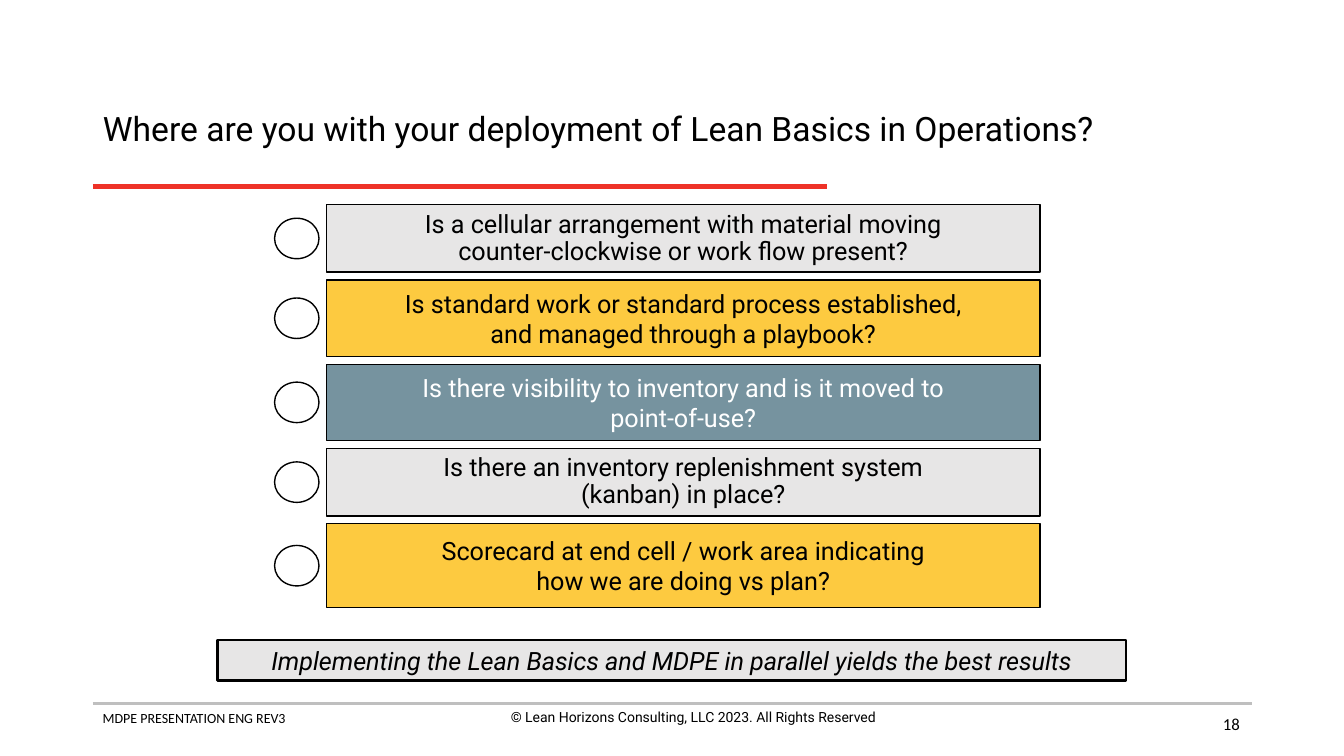
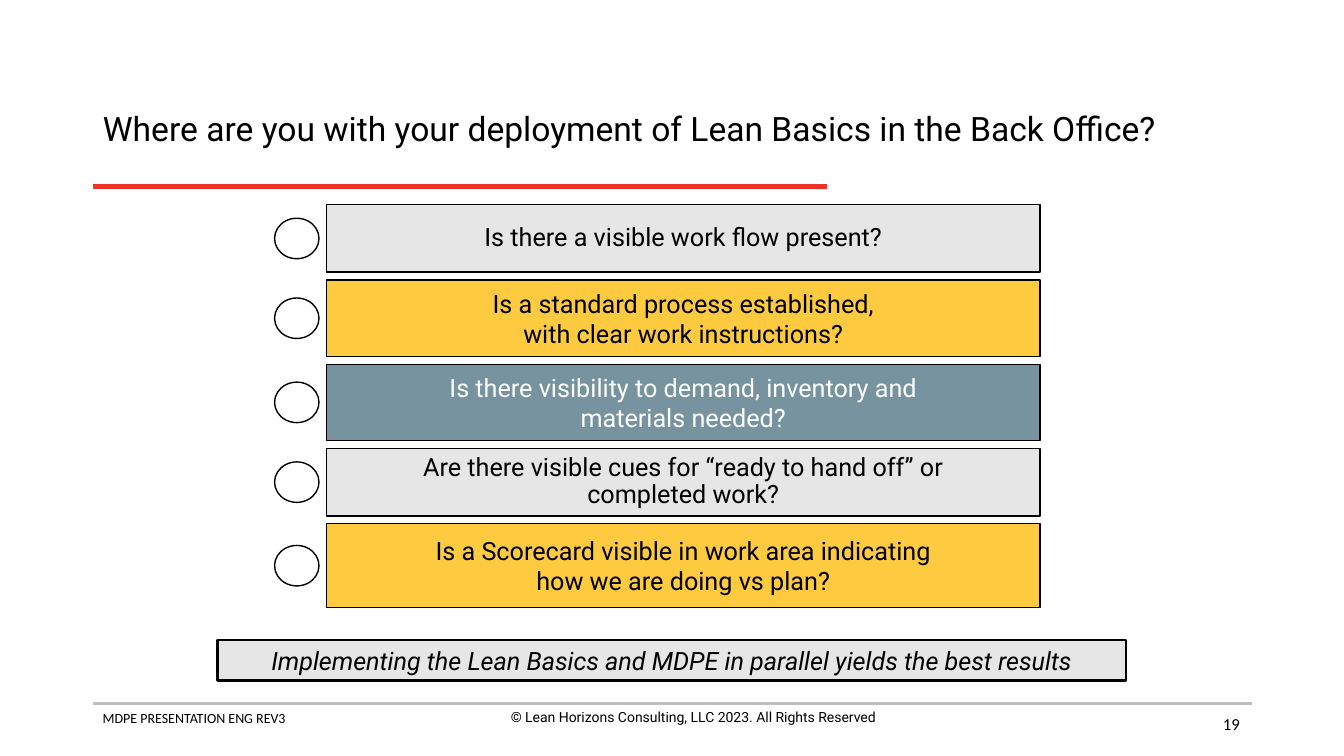
from lxml.etree import SubElement
from pptx import Presentation
from pptx.dml.color import RGBColor
from pptx.enum.shapes import MSO_CONNECTOR, MSO_SHAPE
from pptx.enum.text import MSO_ANCHOR, MSO_AUTO_SIZE, PP_ALIGN
from pptx.oxml.ns import qn
from pptx.util import Cm, Pt

# Shared style
BLACK, WHITE = "000000", "FFFFFF"
GREY, YELLOW, SLATE = "E7E6E6", "FDCA40", "76939F"
RED, RULE_GREY = "EE3228", "BFBFBF"
MARGIN, RIGHT = 2.34, 31.55
TITLE_FONT, FOOTER_FONT = "Roboto", "Calibri"

# Question rows: height, fill, text colour, line spacing
ROWS = [
    (1.70, GREY, BLACK, 0.9),
    (1.92, YELLOW, BLACK, 1.0),
    (1.92, SLATE, WHITE, 1.0),
    (1.70, GREY, BLACK, 0.9),
    (2.11, YELLOW, BLACK, 1.0),
]
ROWS_TOP, ROW_GAP = 5.16, 0.2
ROW_LEFT, ROW_WIDTH = 8.23, 17.98
CIRCLE_LEFT, CIRCLE_WIDTH, CIRCLE_HEIGHT = 6.92, 1.12, 1.02

CONCLUSION = "Implementing the Lean Basics and MDPE in parallel yields the best results"

# Slide number, title, questions (\v is a line break)
SLIDES = [
    (18, "Where are you with your deployment of Lean Basics in Operations?", [
        "Is a cellular arrangement with material moving\vcounter-clockwise or work flow present?",
        "Is standard work or standard process established,\vand managed through a playbook?",
        "Is there visibility to inventory and is it moved to\vpoint-of-use?",
        "Is there an inventory replenishment system\v(kanban) in place?",
        "Scorecard at end cell / work area indicating\vhow we are doing vs plan?",
    ]),
    (19, "Where are you with your deployment of Lean Basics in the Back Office?", [
        "Is there a visible work flow present?",
        "Is a standard process established,\vwith clear work instructions?",
        "Is there visibility to demand, inventory and\vmaterials needed?",
        "Are there visible cues for “ready to hand off” or\vcompleted work?",
        "Is a Scorecard visible in work area indicating\vhow we are doing vs plan?",
    ]),
]


def write(sp, text, size, color=BLACK, font=TITLE_FONT, align=PP_ALIGN.CENTER,
          anchor=MSO_ANCHOR.MIDDLE, spacing=1.0):
    tf = sp.text_frame
    tf.word_wrap = True
    tf.auto_size = MSO_AUTO_SIZE.NONE
    tf.vertical_anchor = anchor
    p = tf.paragraphs[0]
    p.text = text
    p.alignment = align
    p.line_spacing = spacing
    p.font.size = Pt(size)
    p.font.name = font
    p.font.color.rgb = RGBColor.from_string(color)
    return p


def add_outlined(s, kind, left, top, width, height, fill, weight=1):
    sp = s.shapes.add_shape(kind, Cm(left), Cm(top), Cm(width), Cm(height))
    sp.shadow.inherit = False
    sp.fill.solid()
    sp.fill.fore_color.rgb = RGBColor.from_string(fill)
    sp.line.color.rgb = RGBColor.from_string(BLACK)
    sp.line.width = Pt(weight)
    return sp


prs = Presentation()
prs.slide_width, prs.slide_height = Cm(33.87), Cm(19.05)

for number, title, questions in SLIDES:
    s = prs.slides.add_slide(prs.slide_layouts[5])

    # Title
    sp = s.shapes.title
    sp.left, sp.top, sp.width, sp.height = Cm(MARGIN), Cm(1.88), Cm(29.21), Cm(2.8)
    write(sp, title, 24, align=PP_ALIGN.LEFT, spacing=0.9)

    # Rules under the title and above the footer
    for y, end, color, weight in [(4.7, 20.83, RED, 3), (17.73, RIGHT, RULE_GREY, 2)]:
        rule = s.shapes.add_connector(MSO_CONNECTOR.STRAIGHT, Cm(MARGIN), Cm(y), Cm(end), Cm(y))
        rule.line.color.rgb = RGBColor.from_string(color)
        rule.line.width = Pt(weight)
        SubElement(rule._element.spPr, qn("a:effectLst"))

    # Footer
    for text, left, top, width, size, font, align, anchor in [
        ("MDPE PRESENTATION ENG REV3", MARGIN, 17.75, 11.58, 10,
         FOOTER_FONT, PP_ALIGN.LEFT, MSO_ANCHOR.TOP),
        ("© Lean Horizons Consulting, LLC 2023. All Rights Reserved", 11.68, 17.73, 11.58, 10,
         TITLE_FONT, PP_ALIGN.CENTER, MSO_ANCHOR.TOP),
        (str(number), 23.88, 17.73, 7.62, 12,
         FOOTER_FONT, PP_ALIGN.RIGHT, MSO_ANCHOR.MIDDLE),
    ]:
        sp = s.shapes.add_textbox(Cm(left), Cm(top), Cm(width), Cm(1))
        write(sp, text, size, font=font, align=align, anchor=anchor)

    # Questions, each with a circle to mark
    top = ROWS_TOP
    for question, (height, fill, color, spacing) in zip(questions, ROWS):
        sp = add_outlined(s, MSO_SHAPE.RECTANGLE, ROW_LEFT, top, ROW_WIDTH, height, fill)
        write(sp, question, 18, color, spacing=spacing)
        add_outlined(s, MSO_SHAPE.OVAL, CIRCLE_LEFT, top + (height - CIRCLE_HEIGHT) / 2,
                     CIRCLE_WIDTH, CIRCLE_HEIGHT, WHITE)
        top += height + ROW_GAP

    # Conclusion
    sp = add_outlined(s, MSO_SHAPE.RECTANGLE, 5.49, 16.13, 22.89, 1.02, GREY, 2)
    p = write(sp, CONCLUSION, 18, anchor=MSO_ANCHOR.BOTTOM)
    p.font.italic = True

prs.save("out.pptx")
